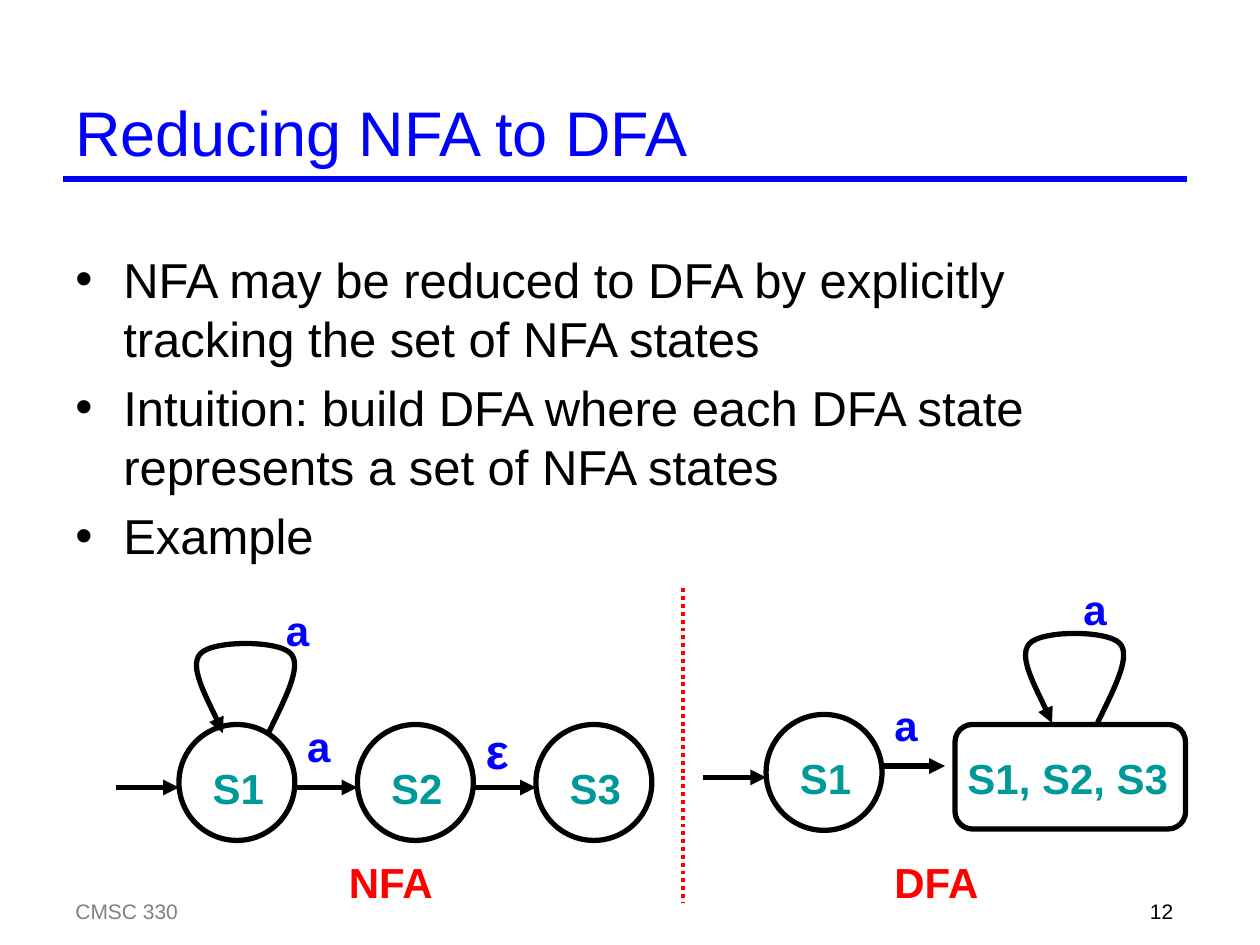
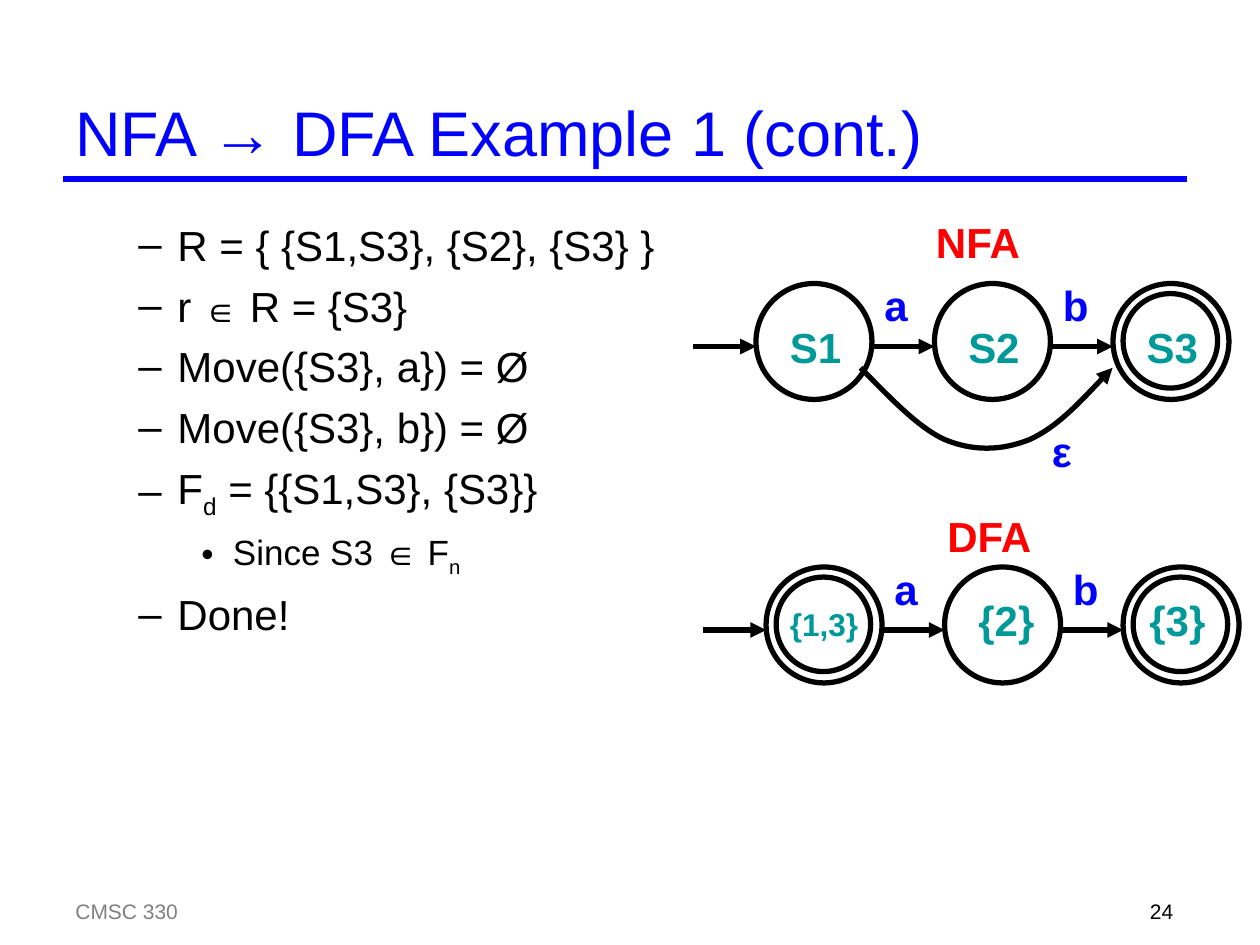
from lxml.etree import SubElement
from pptx import Presentation
from pptx.dml.color import RGBColor
from pptx.enum.dml import MSO_LINE
from pptx.enum.shapes import MSO_CONNECTOR, MSO_SHAPE
from pptx.enum.text import MSO_ANCHOR, PP_ALIGN
from pptx.oxml.ns import qn
from pptx.util import Inches, Pt

BLACK = RGBColor(0x00, 0x00, 0x00)
GRAY = RGBColor(0x80, 0x80, 0x80)
BLUE = RGBColor(0x00, 0x00, 0xFF)
TEAL = RGBColor(0x00, 0x99, 0x99)
RED = RGBColor(0xFF, 0x00, 0x00)

FONT = "Arial"
SIZE = 0.92
STEP = 17 / 12
GAP = 0.5
LEVELS = [("•", 0.38, 0.38), ("–", 0.81, 0.31), ("•", 1.25, 0.25)]
LOOP = [(0.63, 0.74), (0.76, 0.47), (0.9, 0.21), (0.81, 0.11),
        (0.72, 0), (0.18, 0), (0.09, 0.11),
        (0, 0.21), (0.18, 0.53), (0.27, 0.74)]
ARC = [(0, 0), (0.23, 0.23), (0.45, 0.47), (0.67, 0.57),
       (0.89, 0.66), (1.11, 0.66), (1.34, 0.57),
       (1.56, 0.47), (1.78, 0.23), (2, 0)]


def write(para, text, size=24, color=BLACK, bold=False, base=0):
    run = para.add_run()
    run.text = text
    font = run.font
    font.name, font.size, font.bold = FONT, Pt(size), bold
    font.color.rgb = color
    if base:
        run._r.get_or_add_rPr().set("baseline", str(base * 1000))


def add_head(shape):
    line = shape.line._get_or_add_ln()
    SubElement(line, qn("a:tailEnd"), type="triangle")


def add_curves(shape):
    path = shape._element.find(".//" + qn("a:path"))
    legs = path.findall(qn("a:lnTo"))
    for i in range(0, len(legs), 3):
        curve = SubElement(path, qn("a:cubicBezTo"))
        for leg in legs[i:i + 3]:
            curve.append(leg[0])
            path.remove(leg)


class Deck:
    def __init__(self):
        self.prs = Presentation()
        self.prs.slide_width = Inches(10)
        self.prs.slide_height = Inches(7.5)
        self.shapes = None

    def start(self, title, number):
        slide = self.prs.slides.add_slide(self.prs.slide_layouts[6])
        self.shapes = slide.shapes
        self.line(0.5, 1.42, 9.42, 1.42, color=BLUE)
        self.text("CMSC 330", 0.5, 7.08, 6.08, 0.25, size=12, color=GRAY)
        self.text(number, 7.33, 7.08, 2.08, 0.25, size=12, align=PP_ALIGN.RIGHT)
        self.text(title, 0.5, 0.67, 8.92, 0.75, size=36, color=BLUE,
                  anchor=MSO_ANCHOR.MIDDLE)

    def frame(self, x, y, w, h):
        box = self.shapes.add_textbox(Inches(x), Inches(y), Inches(w), Inches(h))
        box.text_frame.word_wrap = True
        return box.text_frame

    def text(self, text, x, y, w, h=0.5, align=PP_ALIGN.LEFT,
             anchor=MSO_ANCHOR.TOP, **style):
        frame = self.frame(x, y, w, h)
        frame.vertical_anchor = anchor
        para = frame.paragraphs[0]
        para.alignment = align
        write(para, text, **style)

    def body(self, y, items):
        frame = self.frame(0.5, y, 8.92, 5.33)
        for i, (level, size, runs) in enumerate(items):
            para = frame.add_paragraph() if i else frame.paragraphs[0]
            if i:
                para.space_before = Pt(6)
            mark, left, hang = LEVELS[level]
            props = para._p.get_or_add_pPr()
            props.set("marL", str(Inches(left)))
            props.set("indent", str(-Inches(hang)))
            SubElement(props, qn("a:buFont"), typeface=FONT)
            SubElement(props, qn("a:buChar"), char=mark)
            for text, style in runs:
                write(para, text, **{"size": size, **style})

    def line(self, x1, y1, x2, y2, color=BLACK, width=3, dash=None, head=False):
        link = self.shapes.add_connector(
            MSO_CONNECTOR.STRAIGHT, Inches(x1), Inches(y1), Inches(x2), Inches(y2))
        link.line.color.rgb = color
        link.line.width = Pt(width)
        if dash:
            link.line.dash_style = dash
        if head:
            add_head(link)
        SubElement(link._element.spPr, qn("a:effectLst"))

    def trim(self, shape):
        shape.shadow.inherit = False
        shape.fill.background()
        shape.line.color.rgb = BLACK
        shape.line.width = Pt(3)

    def outline(self, kind, x, y, w, h):
        shape = self.shapes.add_shape(
            kind, Inches(x), Inches(y), Inches(w), Inches(h))
        self.trim(shape)

    def node(self, x, y, final=False):
        self.outline(MSO_SHAPE.OVAL, x, y, SIZE, SIZE)
        if final:
            self.outline(MSO_SHAPE.OVAL, x + 0.08, y + 0.08, 0.75, 0.75)

    def arrow(self, x, y):
        self.line(x, y, x + GAP, y, head=True)

    def curve(self, x, y, points):
        spots = [(Inches(x + a), Inches(y + b)) for a, b in points]
        build = self.shapes.build_freeform(*spots[0])
        build.add_line_segments(spots[1:], close=False)
        shape = build.convert_to_shape()
        add_curves(shape)
        self.trim(shape)
        add_head(shape)

    def state(self, name, x, y, w=0.67, size=24):
        self.text(name, x, y, w, size=size, color=TEAL, bold=True)

    def edge(self, sign, x, y, size=24):
        self.text(sign, x, y, 0.5, size=size, color=BLUE, bold=True)

    def kind(self, name, x, y):
        self.text(name, x, y, 1.08, color=RED, bold=True)

    def chain(self, x, y, states, edges=(), finals=()):
        for i, (name, dx, dy, w, size) in enumerate(states):
            left = x + i * STEP
            self.node(left, y, i in finals)
            self.arrow(left - GAP, y + 0.5)
            self.state(name, left + dx, y + dy, w, size)
        for i, (sign, size) in enumerate(edges):
            self.edge(sign, x + SIZE + i * STEP, y - 0.08, size)


def reduce_slide(deck):
    deck.start("Reducing NFA to DFA", "12")
    lines = ["NFA may be reduced to DFA by explicitly tracking the set of NFA states",
             "Intuition: build DFA where each DFA state represents a set of NFA states",
             "Example"]
    deck.body(1.93, [(0, 28, [(line, {})]) for line in lines])
    plain = [(name, 0.17, 0.25, 0.67, 24) for name in ("S1", "S2", "S3")]
    deck.chain(1.42, 5.75, plain, [("a", 24), ("ε", 28)])
    deck.curve(1.5, 5.08, LOOP)
    deck.edge("a", 2.17, 4.75)
    deck.kind("NFA", 2.67, 6.75)

    deck.line(5.42, 4.67, 5.42, 7.17, color=RED, width=2.25,
              dash=MSO_LINE.ROUND_DOT)

    deck.chain(6.08, 5.67, plain[:1])
    deck.arrow(7, 6.08)
    deck.edge("a", 7, 5.5)
    deck.outline(MSO_SHAPE.ROUNDED_RECTANGLE, 7.58, 5.75, 1.83, 0.83)
    deck.state("S1, S2, S3", 7.58, 5.92, 1.83)
    deck.curve(8.08, 5, LOOP)
    deck.edge("a", 8.5, 4.58)
    deck.kind("DFA", 7, 6.75)


def example_slide(deck):
    deck.start("NFA → DFA Example 1 (cont.)", "24")
    small, sub = {"size": 20}, {"base": -25}
    deck.body(1.69, [
        (1, 24, [("R = { {S1,S3}, {S2}, {S3} }", {})]),
        (1, 24, [("r ", {}), ("∈", small), (" R = {S3}", {})]),
        (1, 24, [("Move({S3}, a}) = Ø", {})]),
        (1, 24, [("Move({S3}, b}) = Ø", {})]),
        (1, 24, [("F", {}), ("d", sub), (" = {{S1,S3}, {S3}}", {})]),
        (2, 20, [("Since S3 ∈ F", {}), ("n", sub)]),
        (1, 24, [("Done!", {})]),
    ])
    edges = [("a", 24), ("b", 24)]
    plain = [(name, 0.17, 0.25, 0.67, 24) for name in ("S1", "S2", "S3")]
    deck.kind("NFA", 7.33, 1.67)
    deck.chain(6, 2.25, plain, edges, finals=[2])
    deck.curve(6.83, 2.92, ARC)
    deck.edge("ε", 8.25, 3.33)

    deck.kind("DFA", 7.42, 4)
    sets = [("{1,3}", 0.09, 0.25, 0.89, 18), ("{2}", 0.17, 0.17, 0.75, 24),
            ("{3}", 0.11, 0.17, 0.75, 24)]
    deck.chain(6.08, 4.5, sets, edges, finals=[0, 2])


def main():
    deck = Deck()
    reduce_slide(deck)
    example_slide(deck)
    deck.prs.save("out.pptx")


if __name__ == "__main__":
    main()
